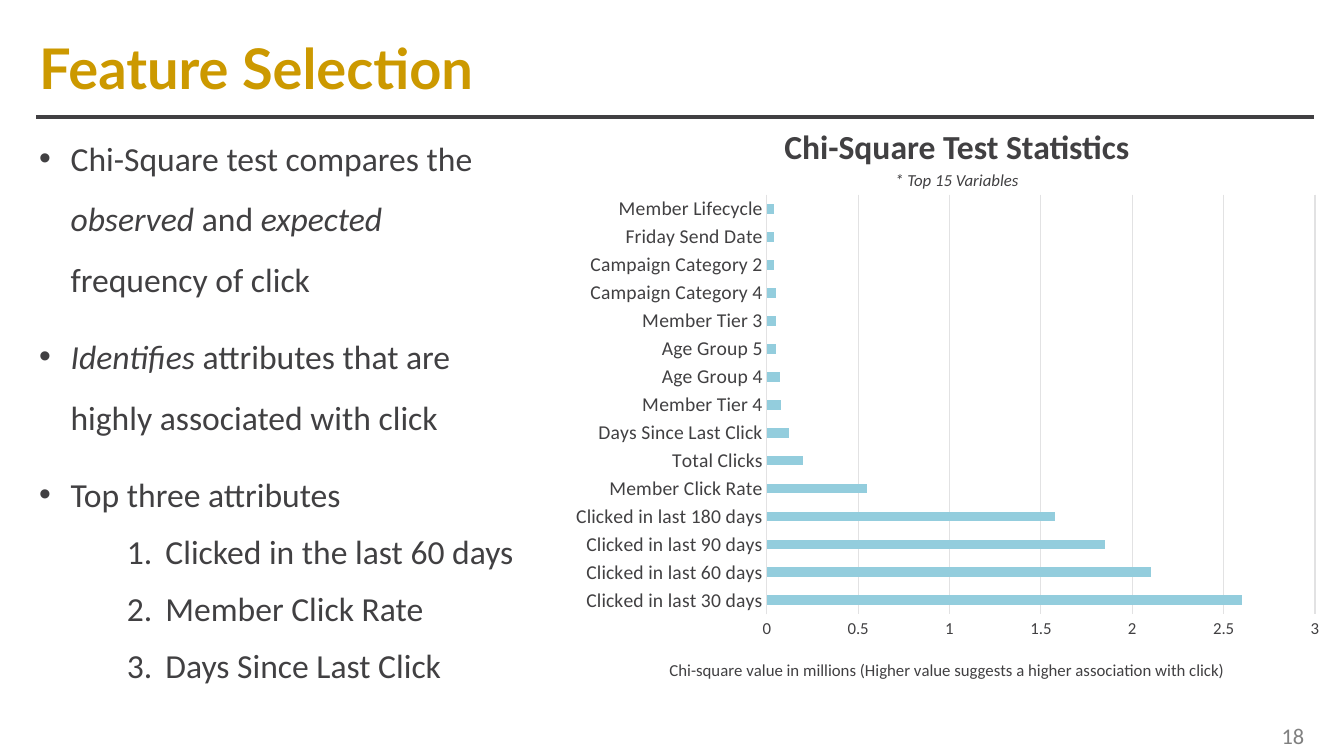
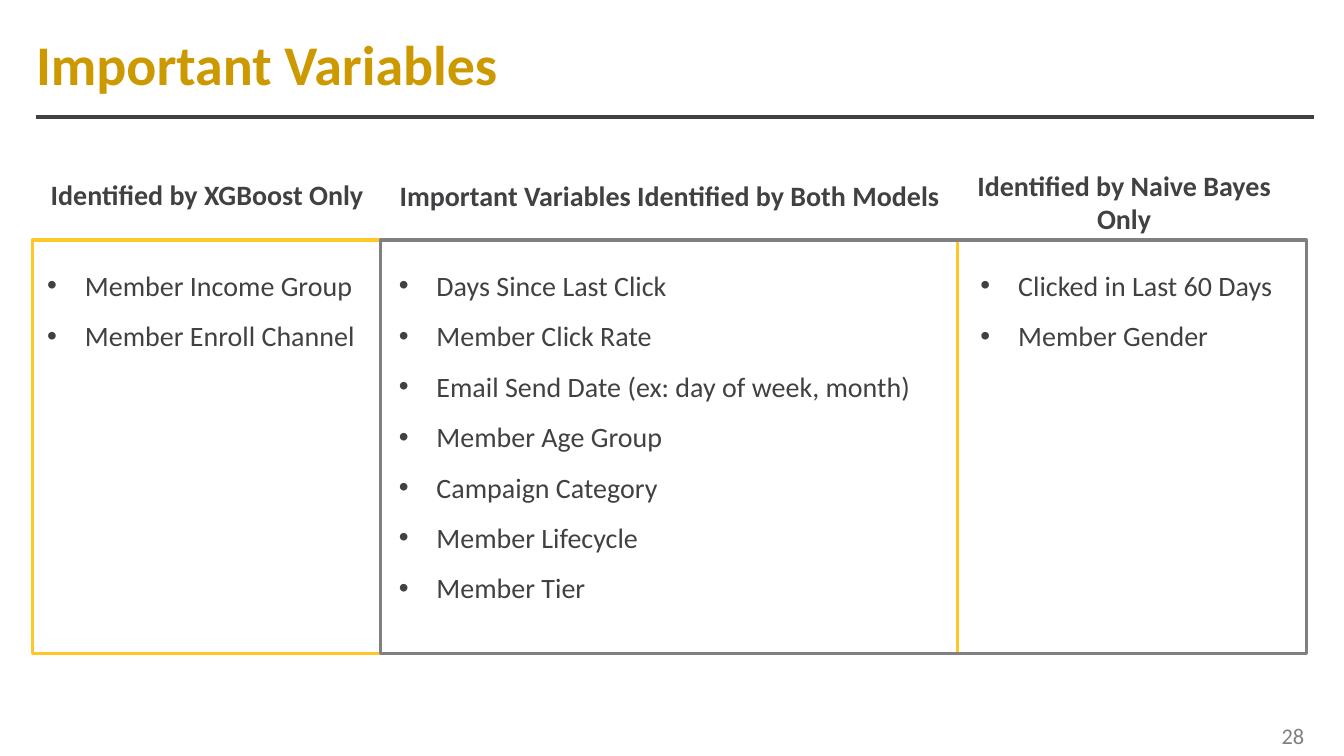
from dataclasses import dataclass

from lxml import etree
from pptx import Presentation
from pptx import util as u
from pptx.chart import data as chart_data
from pptx.dml import color
from pptx.enum import chart as chart_types, shapes, text
from pptx.oxml import ns


@dataclass(frozen=True)
class Theme:
    ink: str = "414042"
    gold: str = "CC9900"
    yellow: str = "FFC629"
    gray: str = "808080"
    grid: str = "E2E2E3"
    bar: str = "93CDDD"
    font: str = "Calibri"
    title_size: int = 40
    body_size: int = 24
    column_size: int = 20
    number_size: int = 16
    label_size: int = 14
    note_size: int = 12


THEME = Theme()
BULLET = ("buChar", {"char": "•"})
NUMBER = ("buAutoNum", {"type": "arabicPeriod"})

FINDINGS = [
    [("Chi-Square test compares the ", False), ("observed", True), (" and ", False),
     ("expected", True), (" frequency of click", False)],
    [("Identifies", True), (" attributes that are highly associated with click", False)],
    "Top three attributes",
]
TOP_ATTRIBUTES = ["Clicked in the last 60 days", "Member Click Rate", "Days Since Last Click"]

CHI_SQUARE = {
    "Clicked in last 30 days": 2.6,
    "Clicked in last 60 days": 2.1,
    "Clicked in last 90 days": 1.85,
    "Clicked in last 180 days": 1.58,
    "Member Click Rate": 0.55,
    "Total Clicks": 0.2,
    "Days Since Last Click": 0.12,
    "Member Tier 4": 0.08,
    "Age Group 4": 0.07,
    "Age Group 5": 0.05,
    "Member Tier 3": 0.05,
    "Campaign Category 4": 0.05,
    "Campaign Category 2": 0.04,
    "Friday Send Date": 0.04,
    "Member Lifecycle": 0.04,
}
AXIS_TITLE = "Chi-square value in millions (Higher value suggests a higher association with click)"

FRAMES = [(0.81, THEME.yellow), (9.6, THEME.gray)]
COLUMNS = [
    {"heading": "Identified by XGBoost Only", "heading_box": (0.84, 4.34, 8.76, 1.12),
     "items": ["Member Income Group", "Member Enroll Channel"],
     "list_left": 0.94, "list_width": 8.36},
    {"heading": "Important Variables Identified by Both Models",
     "heading_box": (9.6, 4.37, 14.55, 1.12),
     "items": ["Days Since Last Click", "Member Click Rate",
               "Email Send Date (ex: day of week, month)", "Member Age Group",
               "Campaign Category", "Member Lifecycle", "Member Tier"],
     "list_left": 9.8, "list_width": 14.48},
    {"heading": "Identified by Naive Bayes Only", "heading_box": (23.95, 4.11, 8.76, 1.96),
     "items": ["Clicked in Last 60 Days", "Member Gender"],
     "list_left": 24.46, "list_width": 8},
]


def rgb(value):
    return color.RGBColor.from_string(value)


def place(box):
    return [u.Cm(length) for length in box]


def style_font(font, size, ink=THEME.ink, name=THEME.font, bold=False, italic=False):
    font.size, font.name = u.Pt(size), name
    font.bold, font.italic = bold, italic
    font.color.rgb = rgb(ink)


def add_marker(paragraph, marker, margin, hang):
    tag, attributes = marker
    properties = paragraph._p.get_or_add_pPr()
    properties.set("marL", str(u.Cm(margin)))
    properties.set("indent", str(-u.Cm(hang)))
    font = etree.SubElement(properties, ns.qn("a:buFont"))
    font.set("typeface", "Arial" if marker == BULLET else THEME.font)
    etree.SubElement(properties, ns.qn(f"a:{tag}"), attributes)


def write_paragraph(frame, content, size, align=text.PP_ALIGN.LEFT, spacing=None,
                    before=0, marker=None, margin=0, hang=0, **font):
    first = not frame.paragraphs[0].runs
    paragraph = frame.paragraphs[0] if first else frame.add_paragraph()
    if marker:
        add_marker(paragraph, marker, margin, hang)
    paragraph.alignment = align
    if spacing:
        paragraph.line_spacing = spacing
    if before and not first:
        paragraph.space_before = u.Pt(before)
    style_font(paragraph.font, size, **font)
    runs = [(content, False)] if isinstance(content, str) else content
    for words, italic in runs:
        run = paragraph.add_run()
        run.text = words
        if italic:
            run.font.italic = True


def add_text(slide, box, contents, size, anchor=text.MSO_ANCHOR.TOP, inset=True, **style):
    frame = slide.shapes.add_textbox(*place(box)).text_frame
    frame.word_wrap = True
    frame.vertical_anchor = anchor
    if not inset:
        frame.margin_left = frame.margin_right = frame.margin_top = frame.margin_bottom = 0
    for content in contents:
        write_paragraph(frame, content, size, **style)
    return frame


def add_base_slide(presentation, title, number, title_at, title_font=THEME.font):
    slide = presentation.slides.add_slide(presentation.slide_layouts[6])
    rule = slide.shapes.add_connector(shapes.MSO_CONNECTOR.STRAIGHT,
                                      *place((0.91, 2.95, 33.12, 2.95)))
    rule.line.color.rgb = rgb(THEME.ink)
    rule.line.width = u.Pt(3)
    etree.SubElement(rule._element.spPr, ns.qn("a:effectLst"))
    add_text(slide, (*title_at, 28.4, 2.08), [title], THEME.title_size,
             anchor=text.MSO_ANCHOR.MIDDLE, inset=False, name=title_font,
             ink=THEME.gold, bold=True)
    add_text(slide, (24.28, 18.03, 8.84, 1.02), [str(number)], THEME.number_size,
             anchor=text.MSO_ANCHOR.MIDDLE, align=text.PP_ALIGN.RIGHT, ink=THEME.gray)
    return slide


def set_layout(parent, position, **values):
    for existing in parent.findall(ns.qn("c:layout")):
        parent.remove(existing)
    layout = etree.Element(ns.qn("c:layout"))
    manual = etree.SubElement(layout, ns.qn("c:manualLayout"))
    for tag, value in values.items():
        etree.SubElement(manual, ns.qn(f"c:{tag}")).set("val", str(value))
    parent.insert(position, layout)


def add_chi_square_chart(slide):
    data = chart_data.CategoryChartData()
    data.categories = list(CHI_SQUARE)
    data.add_series("Series 1", list(CHI_SQUARE.values()))
    chart = slide.shapes.add_chart(chart_types.XL_CHART_TYPE.BAR_CLUSTERED,
                                   *place((14.07, 4.65, 19.46, 12.9)), data).chart
    chart.has_title = chart.has_legend = False
    style_font(chart.font, 10)

    plot = chart.plots[0]
    plot.gap_width = 182
    plot.vary_by_categories = False
    fill = plot.series[0].format.fill
    fill.solid()
    fill.fore_color.rgb = rgb(THEME.bar)

    categories, values = chart.category_axis, chart.value_axis
    for axis, size in ((categories, THEME.label_size), (values, THEME.note_size)):
        axis.major_tick_mark = axis.minor_tick_mark = chart_types.XL_TICK_MARK.NONE
        style_font(axis.tick_labels.font, size)
    categories.has_major_gridlines = False
    values.has_major_gridlines = True
    for line in (categories.format.line, values.major_gridlines.format.line):
        line.color.rgb = rgb(THEME.grid)
        line.width = u.Pt(0.75)
    values.format.line.fill.background()
    values.minimum_scale, values.maximum_scale, values.major_unit = 0, 3, 0.5
    values.tick_labels.number_format = "General"
    values.tick_labels.number_format_is_linked = False
    values.has_title = True
    write_paragraph(values.axis_title.text_frame, AXIS_TITLE, THEME.note_size,
                    align=text.PP_ALIGN.CENTER)

    space = chart._chartSpace
    set_layout(space.xpath(".//c:plotArea")[0], 0, layoutTarget="inner", xMode="edge",
               yMode="edge", x=0.27, y=0.02, w=0.71, h=0.82)
    set_layout(space.xpath(".//c:valAx/c:title")[0], 1, xMode="edge", yMode="edge",
               x=0.14, y=0.92)


def build_feature_selection(presentation):
    slide = add_base_slide(presentation, "Feature Selection", 18, (0.99, 0.66), "Lato")
    add_chi_square_chart(slide)
    frame = add_text(slide, (0.74, 2.84, 12.6, 14.71), FINDINGS, THEME.body_size,
                     spacing=1.5, before=12, marker=BULLET, margin=0.79, hang=0.79)
    for attribute in TOP_ATTRIBUTES:
        write_paragraph(frame, attribute, THEME.body_size, before=12,
                        marker=NUMBER, margin=3.18, hang=0.97)
    add_text(slide, (15.16, 3.05, 17.91, 1.27), ["Chi-Square Test Statistics"],
             THEME.body_size, align=text.PP_ALIGN.CENTER, bold=True)
    add_text(slide, (15.16, 3.89, 17.91, 0.94), ["* Top 15 Variables"],
             THEME.note_size, align=text.PP_ALIGN.CENTER, spacing=1.5, italic=True)


def build_important_variables(presentation):
    slide = add_base_slide(presentation, "Important Variables", 28, (0.91, 0.56))
    for left, outline in FRAMES:
        frame = slide.shapes.add_shape(shapes.MSO_SHAPE.RECTANGLE,
                                       *place((left, 6.05, 23.32, 10.41)))
        frame.shadow.inherit = False
        frame.fill.background()
        frame.line.color.rgb = rgb(outline)
        frame.line.width = u.Pt(2.25)
    for column in COLUMNS:
        add_text(slide, column["heading_box"], [column["heading"]], THEME.column_size,
                 align=text.PP_ALIGN.CENTER, bold=True)
        add_text(slide, (column["list_left"], 6.22, column["list_width"], 9.1),
                 column["items"], THEME.column_size, spacing=1.5,
                 marker=BULLET, margin=0.95, hang=0.95)


def main():
    presentation = Presentation()
    presentation.slide_width, presentation.slide_height = u.Cm(33.87), u.Cm(19.05)
    build_feature_selection(presentation)
    build_important_variables(presentation)
    presentation.save("out.pptx")


if __name__ == "__main__":
    main()
